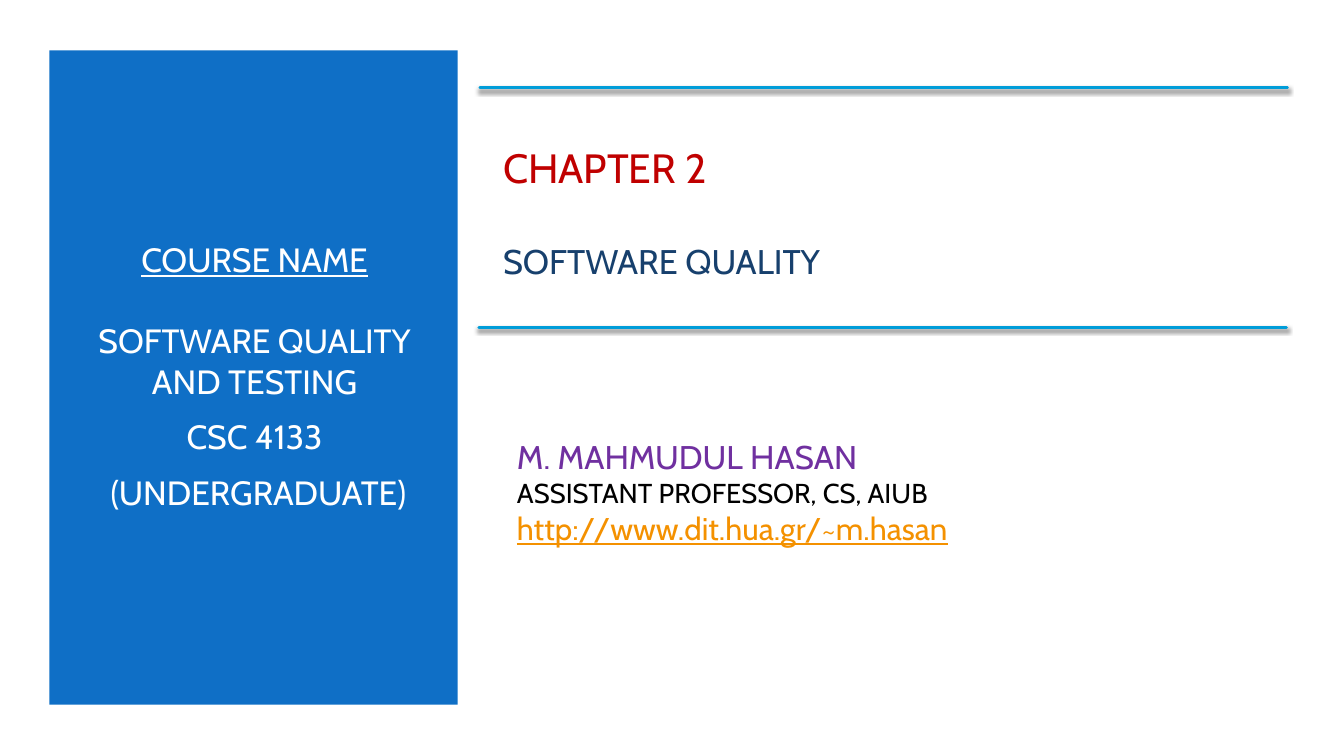
from lxml.etree import SubElement
from pptx import Presentation
from pptx.dml.color import RGBColor
from pptx.enum.shapes import MSO_CONNECTOR as CONNECTOR, MSO_SHAPE as SHAPE
from pptx.enum.text import MSO_ANCHOR as ANCHOR, MSO_AUTO_SIZE as AUTO_SIZE, PP_ALIGN as ALIGN
from pptx.oxml.ns import qn
from pptx.util import Inches, Pt

WIDTH, HEIGHT = Inches(13.33), Inches(7.5)
FONT = "Cabin"
WHITE = RGBColor(0xFF, 0xFF, 0xFF)
BLACK = RGBColor(0x00, 0x00, 0x00)
BLUE = RGBColor(0x0F, 0x6F, 0xC6)
CYAN = RGBColor(0x00, 0x9D, 0xD9)
NAVY = RGBColor(0x17, 0x40, 0x6D)
RED = RGBColor(0xC0, 0x00, 0x00)
PURPLE = RGBColor(0x70, 0x30, 0xA0)
ORANGE = RGBColor(0xF4, 0x91, 0x00)

COURSE = [
    ("COURSE NAME", {"size": 24, "color": WHITE, "underline": True, "after": 6}),
    ("SOFTWARE QUALITY AND TESTING", {"size": 24, "color": WHITE, "before": 23, "after": 6}),
    ("CSC 4133", {"size": 24, "color": WHITE, "before": 4.8, "after": 6}),
    (" (UNDERGRADUATE)", {"size": 24, "color": WHITE, "before": 4.8, "after": 6}),
]
CHAPTER = [
    ("CHAPTER 2", {"size": 29.2, "color": RED}),
    ("SOFTWARE QUALITY", {"size": 24.4, "color": NAVY, "before": 35}),
]
AUTHOR = [
    ("M. MAHMUDUL HASAN", {"size": 23.4, "color": PURPLE}),
    ("ASSISTANT PROFESSOR, CS, AIUB", {"size": 19.5, "color": BLACK}),
    ("http://www.dit.hua.gr/~m.hasan", {"size": 22.4, "color": ORANGE, "underline": True}),
]


def across(percent):
    return round(WIDTH * percent / 100)


def down(percent):
    return round(HEIGHT * percent / 100)


def area(left, top, width, height):
    return across(left), down(top), across(width), down(height)


def set_attributes(target, values):
    for name, value in values.items():
        setattr(target, name, value)


def write_text(shape, lines, alignment=ALIGN.LEFT):
    frame = shape.text_frame
    set_attributes(frame, {
        "word_wrap": True,
        "auto_size": AUTO_SIZE.NONE,
        "vertical_anchor": ANCHOR.MIDDLE,
    })
    for index, (text, style) in enumerate(lines):
        paragraph = frame.add_paragraph() if index else frame.paragraphs[0]
        set_attributes(paragraph, {
            "alignment": alignment,
            "space_before": Pt(style.get("before", 0)),
            "space_after": Pt(style.get("after", 0)),
        })
        run = paragraph.add_run()
        run.text = text
        set_attributes(run.font, {
            "name": FONT,
            "size": Pt(style["size"]),
            "underline": style.get("underline", False),
        })
        run.font.color.rgb = style["color"]


def add_text(slide, box, lines, alignment=ALIGN.LEFT):
    write_text(slide.shapes.add_textbox(*box), lines, alignment)


def add_panel(slide, box):
    panel = slide.shapes.add_shape(SHAPE.RECTANGLE, *box)
    panel.shadow.inherit = False
    panel.fill.solid()
    panel.fill.fore_color.rgb = BLUE
    panel.line.fill.background()


def write_title(slide, box, lines):
    title = slide.shapes.title
    set_attributes(title, dict(zip(("left", "top", "width", "height"), box)))
    write_text(title, lines)


def add_rule(slide, left, top, width):
    rule = slide.shapes.add_connector(
        CONNECTOR.STRAIGHT, across(left), down(top), across(left + width), down(top))
    rule.line.color.rgb = CYAN
    rule.line.width = Pt(2)
    properties = rule._element.spPr
    properties.find(qn("a:ln")).set("cap", "rnd")
    effects = SubElement(properties, qn("a:effectLst"))
    shadow = SubElement(effects, qn("a:outerShdw"), blurRad=str(Pt(3)), dist=str(Pt(2)),
                        dir="5400000", rotWithShape="0")
    tint = SubElement(shadow, qn("a:srgbClr"), val=str(BLACK))
    SubElement(tint, qn("a:alpha"), val="55000")


def main():
    presentation = Presentation()
    set_attributes(presentation, {"slide_width": WIDTH, "slide_height": HEIGHT})
    slide = presentation.slides.add_slide(presentation.slide_layouts.get_by_name("Title Only"))
    slide.background.fill.solid()
    slide.background.fill.fore_color.rgb = WHITE
    add_panel(slide, area(3.68, 6.67, 30.38, 86.53))
    add_text(slide, area(6.3, 14.67, 25.28, 70), COURSE, ALIGN.CENTER)
    write_title(slide, area(36.68, 14.67, 58.89, 26.67), CHAPTER)
    add_text(slide, area(37.73, 54.67, 49.96, 20.8), AUTHOR)
    for left, top in ((35.71, 11.6), (35.63, 43.33)):
        add_rule(slide, left, top, 60.09)
    presentation.save("out.pptx")


if __name__ == "__main__":
    main()
